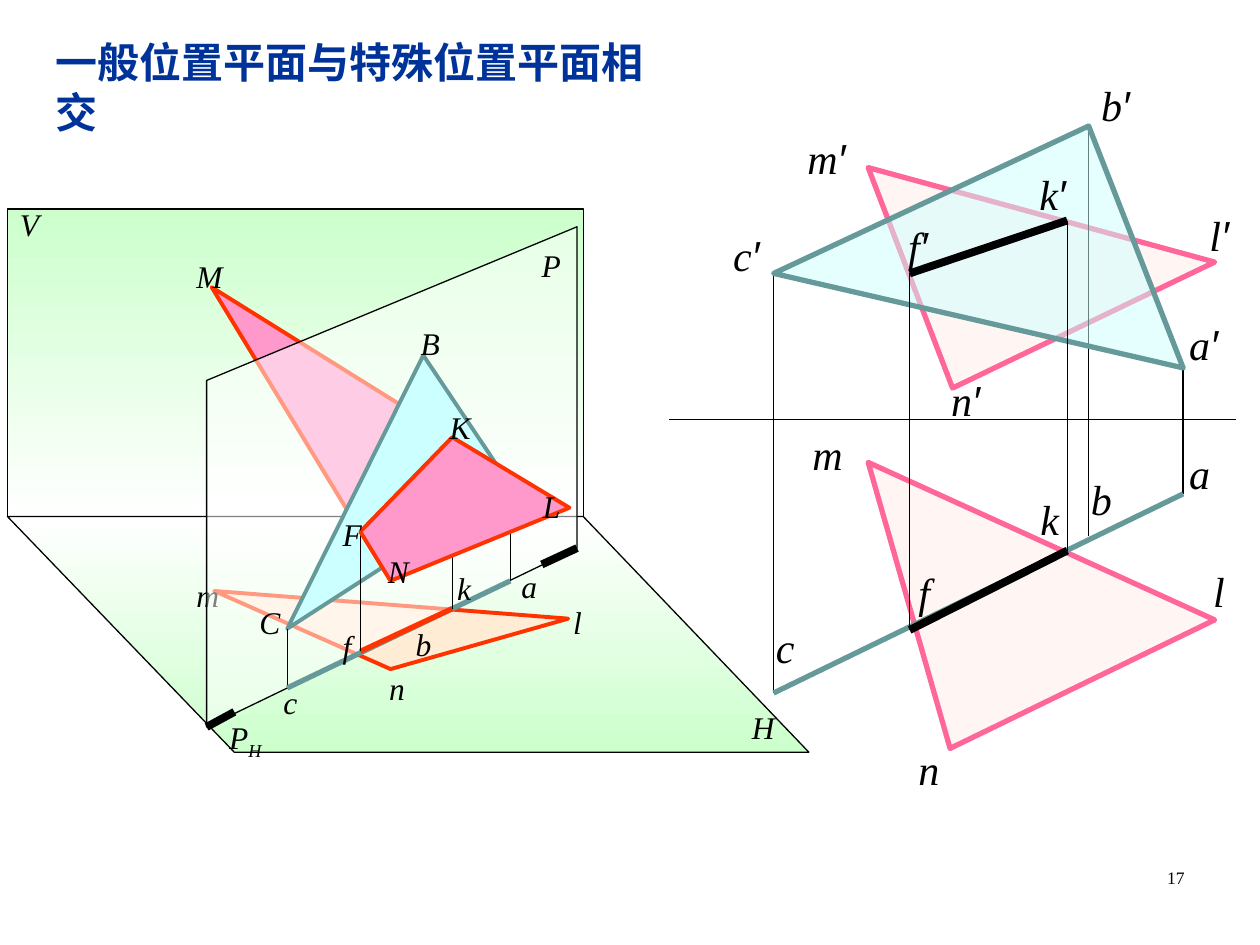
from lxml import etree
from pptx import Presentation
from pptx.dml.color import RGBColor
from pptx.enum.shapes import MSO_CONNECTOR, MSO_SHAPE
from pptx.enum.text import MSO_ANCHOR, MSO_AUTO_SIZE, PP_ALIGN
from pptx.oxml.ns import qn
from pptx.util import Pt

STRAIGHT = MSO_CONNECTOR.STRAIGHT
RECTANGLE = MSO_SHAPE.RECTANGLE
TOP = MSO_ANCHOR.TOP
GROW = MSO_AUTO_SIZE.SHAPE_TO_FIT_TEXT
LEFT, RIGHT = PP_ALIGN.LEFT, PP_ALIGN.RIGHT

PX = 9144  # the slide is 1000 by 750 px
SLIDE_SIZE = (1000, 750)

THEME = {
    "serif": "Times New Roman", "sans": "Arial",
    "ink": "000000", "title": "003399",
    "title size": 24, "page size": 10,
    # fill (a pair is a gradient from top to bottom), opacity in %, line, width in pt
    "styles": {
        "thin": (None, 100, "000000", 0.75),
        "trace": (None, 100, "000000", 4.5),
        "edge": (None, 100, "669999", 3),
        "red edge": (None, 100, "FF3300", 3),
        "pink glass": ("FFEFEB", 50, "FF6699", 3),
        "cyan glass": ("CCFFFF", 50, "669999", 3),
        "wall": (("CCFFCC", "FFFFFF"), 100, "000000", 0.75),
        "floor": (("FFFFFF", "CCFFCC"), 100, "000000", 0.75),
        "plane": ("FFFFFF", 50, "000000", 0.75),
        "pink": ("FF99CC", 100, "FF3300", 2.25),
        "peach": ("FFECD5", 100, "FF3300", 2.25),
        "cyan": ("CCFFFF", 100, "669999", 2.25),
    },
}

TITLE = ("一般位置平面与特殊位置平面相交", (34, 24, 520, 50))
PAGE_NUMBER = ("17", (717, 683, 233, 50))

# Each layer holds outlines (style, point names), then labels (text, left, top, width if special)
PROJECTION_VIEW = {
    "label size": 24, "label box": (64, 50),
    "points": {
        "m′": (689, 133), "n′": (756, 308), "l′": (964, 208),
        "m": (689, 367), "l": (964, 492), "n": (754, 594),
        "a′": (939, 292), "b′": (864, 100), "c′": (614, 217),
        "a": (939, 392), "b": (864, 425), "c": (614, 550),
        "k′": (847, 175), "f′": (722, 217), "k": (847, 437), "f": (722, 500),
        "axis start": (531, 333), "axis end": (981, 333),
    },
    "layers": [(
        [("pink glass", ["m", "l", "n"]),
         ("pink glass", ["m′", "n′", "l′"]),
         ("thin", ["c", "c′"]),
         ("thin", ["a", "a′"]),
         ("thin", ["b", "b′"]),
         ("cyan glass", ["c′", "b′", "a′"]),
         ("edge", ["c", "a"]),
         ("thin", ["axis start", "axis end"]),
         ("trace", ["k′", "f′"]),
         ("trace", ["f", "k"]),
         ("thin", ["f", "f′"]),
         ("thin", ["k", "k′"])],
        [("n", 719, 585), ("l", 953, 444), ("m", 635, 335),
         ("m′", 631, 100), ("l′", 950, 161), ("n′", 745, 292),
         ("b", 856, 371), ("a", 934, 350), ("c", 606, 488),
         ("c′", 572, 177), ("a′", 934, 248), ("b′", 864, 58),
         ("f", 719, 445), ("k", 816, 387), ("f′", 711, 170), ("k′", 815, 129)],
    )],
}

SPATIAL_VIEW = {
    "label size": 18, "label box": (62, 40),
    "points": {
        "V top": (6, 166), "V left": (6, 410), "V right": (463, 410),
        "H left": (186, 597), "H right": (642, 597),
        "P low": (164, 577), "P far": (458, 435),
        "P far top": (458, 180), "P top": (164, 302),
        "P low mark": (186, 565), "P far mark": (430, 448),
        "M": (168, 228), "N": (310, 461), "L": (452, 403),
        "A": (405, 385), "B": (336, 282), "C": (228, 499),
        "F": (286, 422), "K": (359, 347),
        "m": (170, 469), "n": (310, 531), "l": (451, 491),
        "a": (405, 461), "c": (228, 546), "f": (286, 517), "k": (359, 483),
    },
    "layers": [
        ([("wall", ["V top", "V right"]),
          ("floor", ["V left", "H left", "H right", "V right"]),
          ("pink", ["F", "M", "K"]),
          ("peach", ["n", "l", "m"])],
         [("V", 6, 158, 83), ("H", 587, 557, 83), ("M", 146, 199),
          ("m", 146, 452), ("n", 299, 526), ("l", 445, 474)]),
        ([("plane", ["P low", "P far", "P far top", "P top"]),
          ("trace", ["P far", "P far mark"]),
          ("trace", ["P low mark", "P low"]),
          ("cyan", ["A", "C", "B"]),
          ("thin", ["a", "A"]),
          ("thin", ["c", "C"]),
          ("edge", ["a", "c"]),
          ("red edge", ["f", "k"]),
          ("thin", ["F", "f"]),
          ("thin", ["K", "k"]),
          ("pink", ["K", "F", "N", "L"])],
         [("P", 420, 190, 39), ("B", 324, 252, 70), ("C", 196, 474, 70),
          ("a", 404, 445), ("c", 215, 537), ("b", 320, 491), ("PH", 172, 565),
          ("k", 353, 447), ("f", 262, 493), ("F", 262, 404),
          ("K", 347, 319), ("N", 298, 433), ("L", 421, 382)]),
    ],
}


def to_emu(lengths):
    return [length * PX for length in lengths]


def format_font(font, size, color=THEME["ink"], name=THEME["serif"]):
    font.name, font.size = name, Pt(size)
    font.color.rgb = RGBColor.from_string(color)


def paint(shape, fill, opacity):
    shape.shadow.inherit = False
    if isinstance(fill, tuple):
        shape.fill.gradient()
        shape.fill.gradient_angle = 270
        for stop, color in zip(shape.fill.gradient_stops, fill):
            stop.color.rgb = RGBColor.from_string(color)
        return
    shape.fill.solid()
    shape.fill.fore_color.rgb = RGBColor.from_string(fill)
    if opacity < 100:
        color_element = shape.element.spPr.find(qn("a:solidFill"))[0]
        etree.SubElement(color_element, qn("a:alpha"), val=str(opacity * 1000))


def draw_outline(slide, style, points):
    """Two points give a line, or a rectangle if the style has a fill; more give a polygon."""
    fill, opacity, line_color, line_width = THEME["styles"][style]
    start, end = points[0], points[-1]
    if fill is None:
        shape = slide.shapes.add_connector(STRAIGHT, *to_emu(start + end))
        etree.SubElement(shape.element.spPr, qn("a:effectLst"))
    else:
        if len(points) == 2:
            size = (end[0] - start[0], end[1] - start[1])
            shape = slide.shapes.add_shape(RECTANGLE, *to_emu(start + size))
        else:
            builder = slide.shapes.build_freeform(*start, scale=PX)
            builder.add_line_segments(points[1:], close=True)
            shape = builder.convert_to_shape()
        paint(shape, fill, opacity)
    shape.line.color.rgb = RGBColor.from_string(line_color)
    shape.line.width = Pt(line_width)


def add_label(slide, text, box, size):
    """Set the first letter, then a prime in the sans font or a subscript."""
    text_frame = slide.shapes.add_textbox(*to_emu(box)).text_frame
    text_frame.word_wrap = True
    text_frame.auto_size = GROW
    for character in text:
        run = text_frame.paragraphs[0].add_run()
        run.text = character
        name = THEME["sans"] if character == "′" else THEME["serif"]
        format_font(run.font, size, name=name)
        run.font.italic = True
    if text == "PH":
        run.font._element.set("baseline", "-25000")


def draw_view(slide, view):
    default_width, height = view["label box"]
    for outlines, labels in view["layers"]:
        for style, names in outlines:
            draw_outline(slide, style, [view["points"][name] for name in names])
        for text, left, top, *special_width in labels:
            width = special_width[0] if special_width else default_width
            add_label(slide, text, (left, top, width, height), view["label size"])


def add_title(slide):
    text, box = TITLE
    title = slide.shapes.title
    title.left, title.top, title.width, title.height = to_emu(box)
    text_frame = title.text_frame
    text_frame.text = text
    text_frame.word_wrap = False
    text_frame.auto_size = GROW
    text_frame.vertical_anchor = TOP
    paragraph = text_frame.paragraphs[0]
    paragraph.alignment = LEFT
    font = paragraph.runs[0].font
    format_font(font, THEME["title size"], THEME["title"], THEME["sans"])
    font.bold = True


def add_page_number(slide):
    text, box = PAGE_NUMBER
    text_frame = slide.shapes.add_textbox(*to_emu(box)).text_frame
    text_frame.word_wrap = True
    text_frame.text = text
    paragraph = text_frame.paragraphs[0]
    paragraph.alignment = RIGHT
    format_font(paragraph.runs[0].font, THEME["page size"])


def main():
    presentation = Presentation()
    presentation.slide_width, presentation.slide_height = to_emu(SLIDE_SIZE)
    slide = presentation.slides.add_slide(presentation.slide_layouts[5])
    for view in (PROJECTION_VIEW, SPATIAL_VIEW):
        draw_view(slide, view)
    add_title(slide)
    add_page_number(slide)
    presentation.save("out.pptx")


if __name__ == "__main__":
    main()
